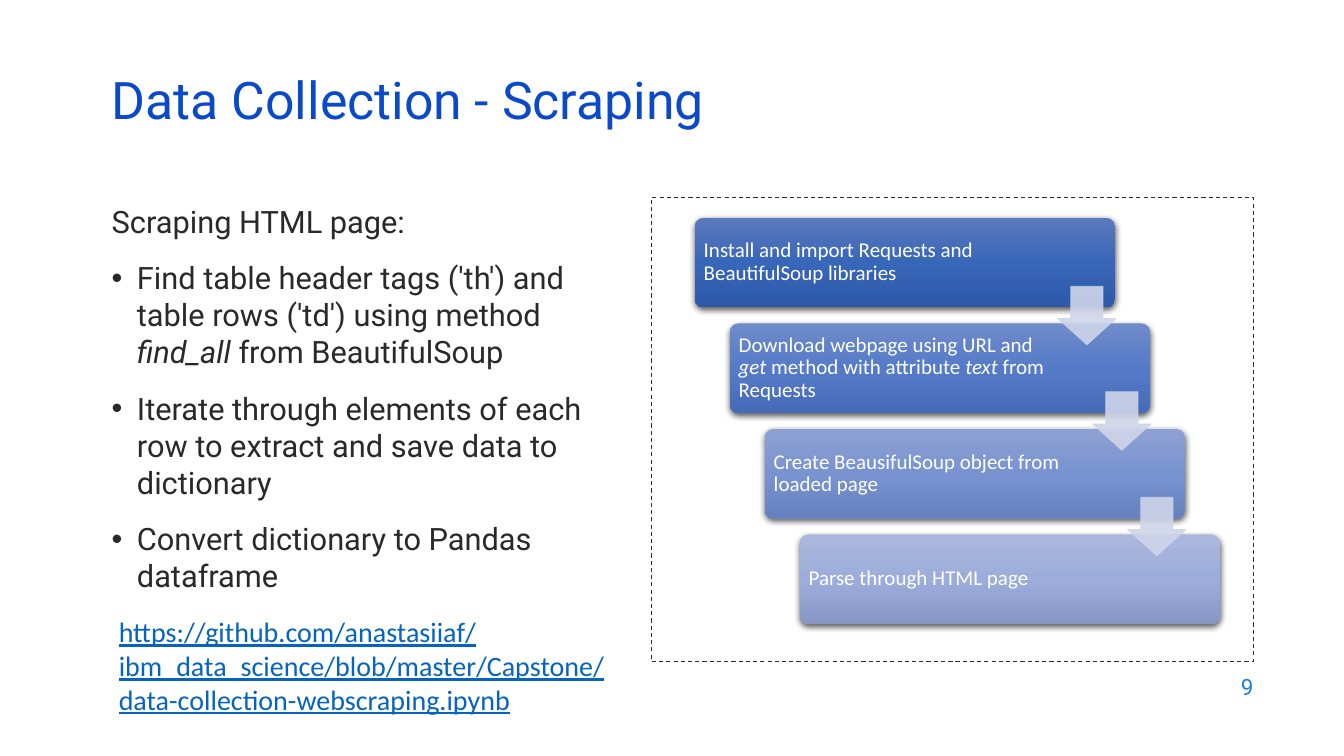
from copy import deepcopy
from lxml.etree import SubElement
from pptx import Presentation
from pptx.dml.color import RGBColor
from pptx.enum.dml import MSO_LINE
from pptx.enum.shapes import MSO_SHAPE
from pptx.enum.text import MSO_ANCHOR, PP_ALIGN
from pptx.oxml.ns import qn
from pptx.util import Inches, Pt

BLUE = RGBColor(0x0B, 0x49, 0xCB)
SKY = RGBColor(0x1C, 0x7D, 0xDB)
INK = RGBColor(0x29, 0x29, 0x29)
LINK = RGBColor(0x05, 0x63, 0xC1)
WHITE = RGBColor(0xFF, 0xFF, 0xFF)
PALE = RGBColor(0xCF, 0xD5, 0xEA)

TITLE = "Data Collection - Scraping"
PAGE = "9"
URL = ("https://github.com/anastasiiaf/ibm_data_science/blob/master/"
       "Capstone/data-collection-webscraping.ipynb")
NOTES = [
    ["Scraping HTML page:"],
    ["Find table header tags ('th') and table rows ('td') using method ",
     "find_all", " from\u00a0BeautifulSoup"],
    ["Iterate through elements of each row to extract and save\u00a0data to dictionary"],
    ["Convert dictionary to Pandas dataframe"],
]
STEPS = [
    (["Install and import Requests and BeautifulSoup libraries"],
     ("5C7ABD", "3866B8", "2D59A8"), 3.14),
    (["Download webpage using URL and ", "get", " method with attribute ",
      "text", "\u00a0from Requests"],
     ("708BCA", "557BC8", "466BB8"), 3.2),
    (["Create BeausifulSoup object from loaded page"],
     ("8DA1D3", "7993D1", "6781BE"), 3.2),
    (["Parse through HTML page"],
     ("ABB8DD", "9CADDB", "8798C6"), 3.2),
]

deck = Presentation()
deck.slide_width, deck.slide_height = Inches(13.33), Inches(7.5)
slide = deck.slides.add_slide(deck.slide_layouts[6])


def put_text(paras, at, size=15, font="Calibri", color=WHITE, mid=True,
             align=PP_ALIGN.LEFT, line=None, gap=0, inset=None,
             bullets=False, under=None):
    box = slide.shapes.add_textbox(*map(Inches, at))
    frame = box.text_frame
    frame.word_wrap = True
    frame.vertical_anchor = MSO_ANCHOR.MIDDLE if mid else MSO_ANCHOR.TOP
    if inset is not None:
        frame.margin_left = frame.margin_right = Inches(inset)
        frame.margin_top = frame.margin_bottom = Inches(inset)
    for i, parts in enumerate(paras):
        para = frame.paragraphs[0] if i == 0 else frame.add_paragraph()
        para.alignment = align
        if line:
            para.line_spacing = line
        if i:
            para.space_before = Pt(gap)
        if bullets and i:
            props = para._p.get_or_add_pPr()
            props.set("marL", str(Inches(0.25)))
            props.set("indent", str(Inches(-0.25)))
            SubElement(props, qn("a:buFont"), typeface="Arial")
            SubElement(props, qn("a:buChar"), char="•")
        for j, words in enumerate(parts):
            run = para.add_run()
            run.text = words
            run.font.size, run.font.name = Pt(size), font
            run.font.color.rgb = color
            run.font.underline = under
            if j % 2:
                run.font.italic = True


def add_form(kind, at, adjust=()):
    form = slide.shapes.add_shape(kind, *map(Inches, at))
    form.shadow.inherit = False
    for i, value in enumerate(adjust):
        form.adjustments[i] = value
    return form


def fade(form, colors):
    form.fill.gradient()
    form.fill.gradient_angle = 270
    stops = form._element.spPr.find(qn("a:gradFill")).find(qn("a:gsLst"))
    stops.append(deepcopy(stops[0]))
    for i, (stop, color) in enumerate(zip(form.fill.gradient_stops, colors)):
        stop.color.rgb = RGBColor.from_string(color)
        stop.position = i / 2


def cast(form):
    effects = form._element.spPr.find(qn("a:effectLst"))
    shade = SubElement(effects, qn("a:outerShdw"), blurRad=str(Pt(4.5)),
                       dist=str(Pt(1.5)), dir="5400000", algn="ctr",
                       rotWithShape="0")
    color = SubElement(shade, qn("a:srgbClr"), val="000000")
    SubElement(color, qn("a:alpha"), val="63000")


put_text([[PAGE]], (9.53, 6.59, 3, 0.44), size=16, font="Roboto", color=SKY,
         align=PP_ALIGN.RIGHT)
put_text(NOTES, (1.01, 1.96, 5.19, 4.17), size=22, font="Roboto", color=INK,
         mid=False, gap=14, bullets=True)
put_text([[TITLE]], (1.01, 0.76, 11.5, 0.6), size=37, font="Roboto",
         color=BLUE, line=0.7)

frame = add_form(MSO_SHAPE.RECTANGLE, (6.46, 1.96, 5.97, 4.6))
frame.fill.background()
frame.line.color.rgb = INK
frame.line.width = Pt(0.75)
frame.line.dash_style = MSO_LINE.DASH

LEFT, TOP, DX, DY = 6.89, 2.16, 0.347, 1.047
for i, (words, colors, wide) in enumerate(STEPS):
    x, y = LEFT + i * DX, TOP + i * DY
    card = add_form(MSO_SHAPE.ROUNDED_RECTANGLE, (x, y, 4.17, 0.89), [0.1])
    fade(card, colors)
    card.line.fill.background()
    cast(card)
    put_text([words], (x + 0.03, y + 0.03, wide, 0.83), line=0.9, inset=0.06)

for i in range(len(STEPS) - 1):
    at = (LEFT + 3.6 + i * DX, TOP + 0.68 + i * DY, 0.58, 0.58)
    arrow = add_form(MSO_SHAPE.DOWN_ARROW, at)
    arrow.adjustments[0], arrow.adjustments[1] = 0.55, 0.45
    arrow.fill.solid()
    arrow.fill.fore_color.rgb = arrow.line.color.rgb = PALE
    arrow.line.width = Pt(0.5)
    for color in arrow._element.spPr.iter(qn("a:srgbClr")):
        SubElement(color, qn("a:alpha"), val="90000")

put_text([[URL]], (1.08, 6.05, 5.46, 1.45), size=20, color=LINK, mid=False,
         under=True)

deck.save("out.pptx")
